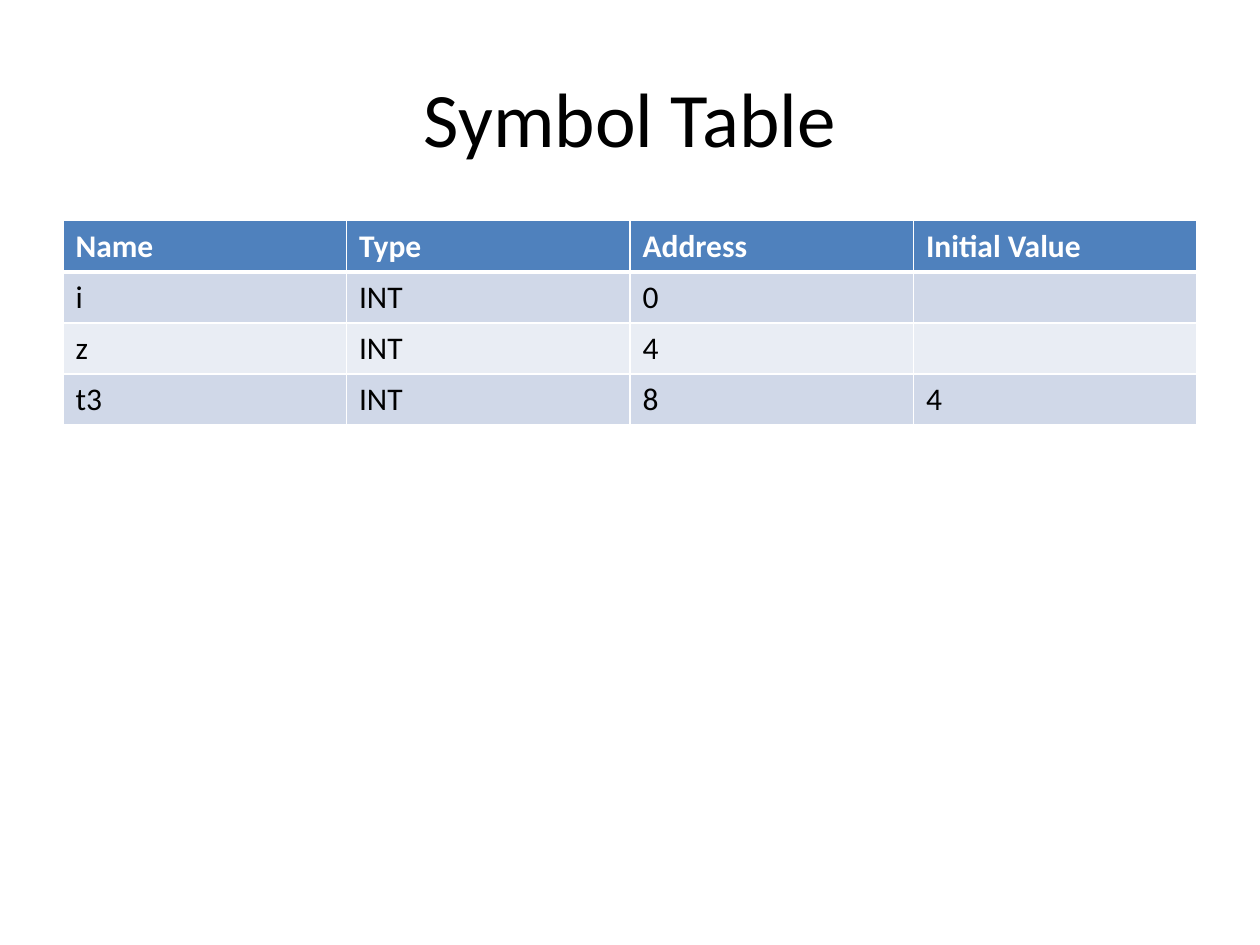
from lxml import etree
from pptx import Presentation
from pptx.dml.color import RGBColor
from pptx.enum.text import MSO_ANCHOR, PP_ALIGN
from pptx.oxml.ns import qn
from pptx.util import Cm, Pt

CENTER = PP_ALIGN.CENTER
MIDDLE = MSO_ANCHOR.MIDDLE
FONT = "Calibri"
BLACK = RGBColor(0x00, 0x00, 0x00)
WHITE = RGBColor(0xFF, 0xFF, 0xFF)
HEADER_BLUE = RGBColor(0x4F, 0x81, 0xBD)
BANDS = (RGBColor(0xD0, 0xD8, 0xE8), RGBColor(0xE9, 0xED, 0xF4))
LEFT, WIDTH = Cm(1.27), Cm(22.86)
ROW_HEIGHT = Cm(1.03)
SYMBOLS = (
    ("Name", "Type", "Address", "Initial Value"),
    ("i", "INT", "0", ""),
    ("z", "INT", "4", ""),
    ("t3", "INT", "8", "4"),
)


def add_text(paragraph, text, size, color, bold=False):
    """Add one formatted run to a paragraph."""
    run = paragraph.add_run()
    run.text = text
    run.font.name = FONT
    run.font.size = Pt(size)
    run.font.bold = bold
    run.font.color.rgb = color


def set_borders(cell, top, bottom):
    """Give a cell white borders, with top and bottom widths in points."""
    properties = cell._tc.get_or_add_tcPr()
    for side, width in (("L", 1), ("R", 1), ("T", top), ("B", bottom)):
        border = etree.SubElement(properties, qn(f"a:ln{side}"), w=str(Pt(width)))
        fill = etree.SubElement(border, qn("a:solidFill"))
        etree.SubElement(fill, qn("a:srgbClr"), val=str(WHITE))


def fill_title(slide, text):
    """Place and format the slide title."""
    title = slide.shapes.title
    title.left, title.top, title.width, title.height = LEFT, Cm(0.76), WIDTH, Cm(3.18)
    title.text_frame.vertical_anchor = MIDDLE
    heading = title.text_frame.paragraphs[0]
    heading.alignment = CENTER
    add_text(heading, text, 44, BLACK)


def format_cell(cell, text, row):
    """Fill a cell with the text and style that belong to its row."""
    is_header = row == 0
    set_borders(cell, 3 if row == 1 else 1, 3 if is_header else 1)
    cell.fill.solid()
    cell.fill.fore_color.rgb = HEADER_BLUE if is_header else BANDS[(row - 1) % 2]
    if text:
        add_text(cell.text_frame.paragraphs[0], text, 18,
                 WHITE if is_header else BLACK, is_header)


def add_symbol_table(slide, symbols):
    """Add the symbol table with equal columns and rows."""
    table = slide.shapes.add_table(
        len(symbols), len(symbols[0]), LEFT, Cm(4.45), WIDTH, ROW_HEIGHT * len(symbols)
    ).table
    for row, entries in enumerate(symbols):
        for column, text in enumerate(entries):
            format_cell(table.cell(row, column), text, row)


def main():
    """Build and save the slide."""
    presentation = Presentation()
    presentation.slide_width, presentation.slide_height = Cm(25.4), Cm(19.05)
    slide = presentation.slides.add_slide(presentation.slide_layouts[5])
    fill_title(slide, "Symbol Table")
    add_symbol_table(slide, SYMBOLS)
    presentation.save("out.pptx")


if __name__ == "__main__":
    main()
